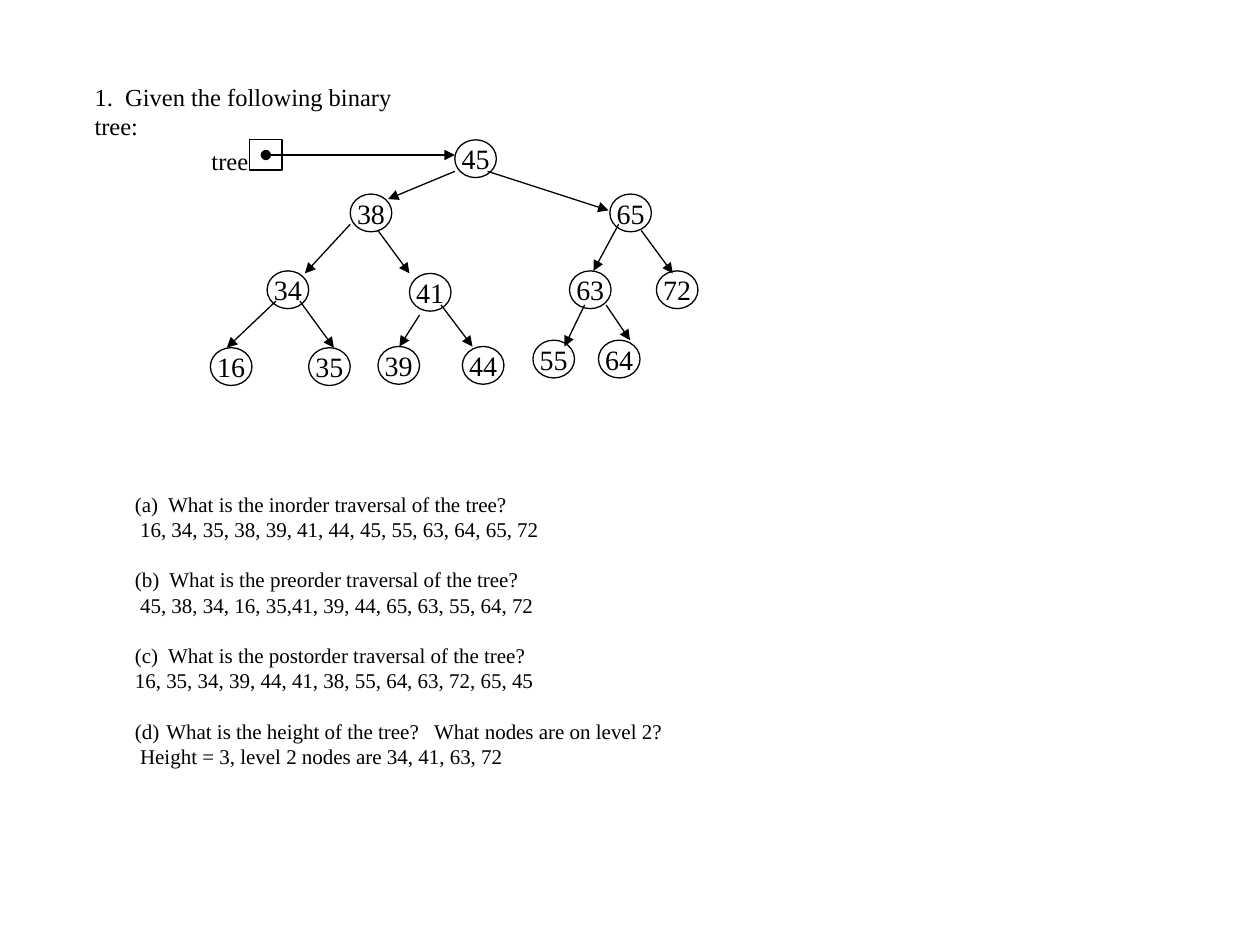
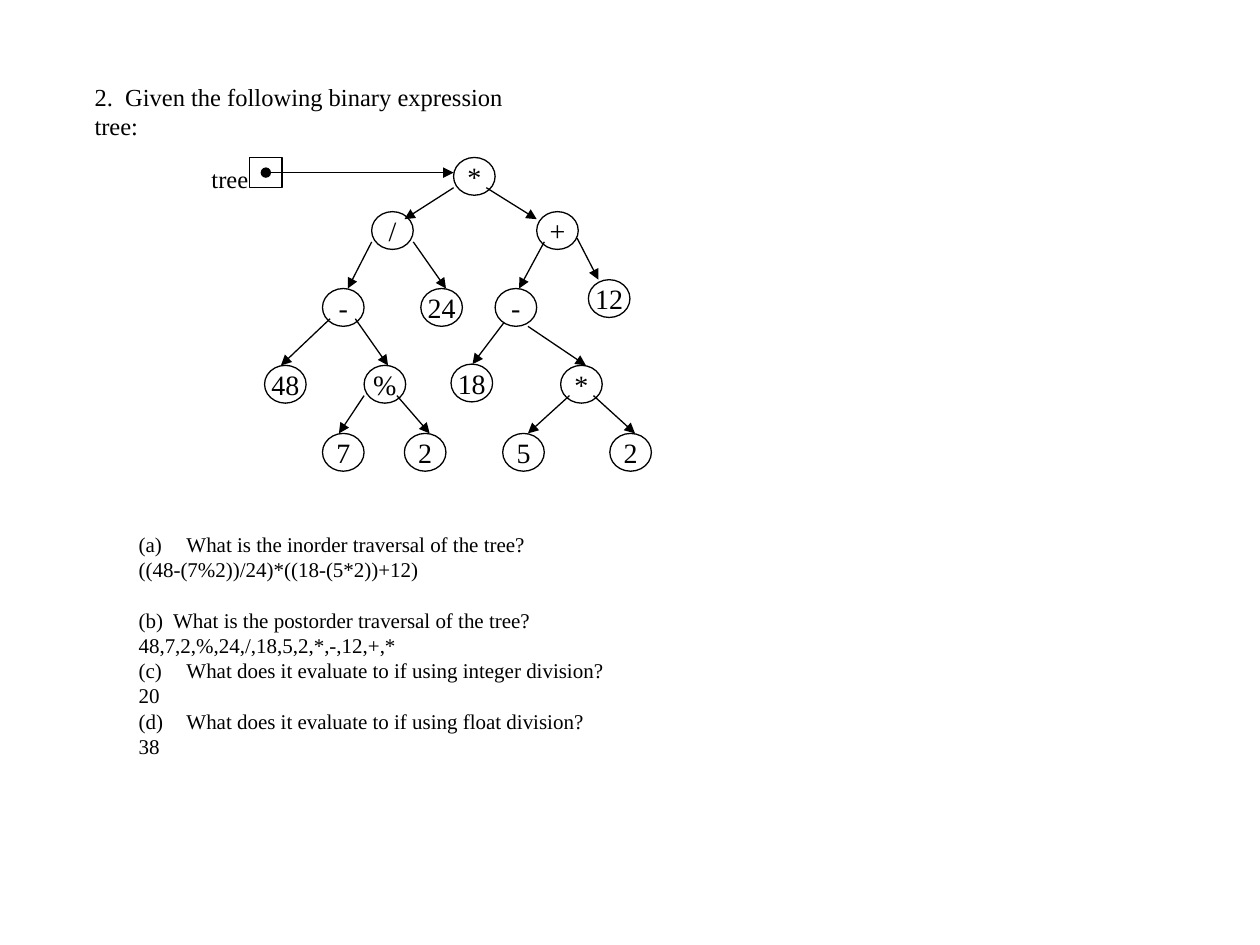
"""Build two slides of binary tree exercises with traversal answers."""
from pptx import Presentation
from pptx.dml.color import RGBColor
from pptx.enum.shapes import MSO_CONNECTOR, MSO_SHAPE
from pptx.enum.text import MSO_ANCHOR, MSO_AUTO_SIZE, PP_ALIGN
from pptx.oxml.ns import qn
from pptx.util import Inches, Pt

STRAIGHT = MSO_CONNECTOR.STRAIGHT
OVAL, RECTANGLE = MSO_SHAPE.OVAL, MSO_SHAPE.RECTANGLE
TOP, MIDDLE = MSO_ANCHOR.TOP, MSO_ANCHOR.MIDDLE
LEFT, CENTER = PP_ALIGN.LEFT, PP_ALIGN.CENTER
NO_AUTOFIT = MSO_AUTO_SIZE.NONE

FONT = "Times New Roman"
INK = "000000"
LINE_WIDTH = 0.75
LINE_HEIGHT = 1.2
TITLE_SIZE, BODY_SIZE, NODE_SIZE = 14, 12, 16
NODE_WIDTH, NODE_HEIGHT = 0.33, 0.3
POINTER_LEFT, POINTER_WIDTH, POINTER_HEIGHT = 1.98, 0.26, 0.24

# Nodes: label, left, top, then start and end of the arrow from the parent.
# Answers: text, then optional format of the paragraph.
EXERCISES = [
    {
        "title": "1.  Given the following binary tree:",
        "title_width": 2.95,
        "nodes": [
            ("45", 3.61, 1.11, None, None),
            ("38", 2.78, 1.54, (3.61, 1.36), (3.08, 1.58)),
            ("65", 4.84, 1.54, (3.87, 1.36), (4.83, 1.67)),
            ("34", 2.12, 2.15, (2.78, 1.78), (2.42, 2.17)),
            ("41", 3.25, 2.17, (3, 1.83), (3.25, 2.17)),
            ("63", 4.52, 2.15, (4.91, 1.78), (4.71, 2.15)),
            ("72", 5.21, 2.15, (5.09, 1.83), (5.34, 2.17)),
            ("16", 1.67, 2.76, (2.19, 2.39), (1.8, 2.76)),
            ("35", 2.45, 2.76, (2.38, 2.39), (2.65, 2.76)),
            ("39", 3, 2.75, (3.33, 2.5), (3.17, 2.75)),
            ("44", 3.67, 2.75, (3.5, 2.42), (3.75, 2.75)),
            ("55", 4.23, 2.7, (4.64, 2.42), (4.48, 2.75)),
            ("64", 4.75, 2.7, (4.81, 2.42), (5, 2.7)),
        ],
        "body_box": (0.97, 3.85, 4.45, 2.93),
        "answers": [
            ("(a)  What is the inorder traversal of the tree?", {}),
            (" 16, 34, 35, 38, 39, 41, 44, 45, 55, 63, 64, 65, 72", {}),
            ("(b)  What is the preorder traversal of the tree?", {"gap": True}),
            (" 45, 38, 34, 16, 35,41, 39, 44, 65, 63, 55, 64, 72", {}),
            ("(c)  What is the postorder traversal of the tree?", {"gap": True}),
            ("16, 35, 34, 39, 44, 41, 38, 55, 64, 63, 72, 65, 45", {}),
            ("What is the height of the tree?   What nodes are on level 2?",
             {"gap": True, "number": 4, "indent": 0.25}),
            (" Height = 3, level 2 nodes are 34, 41, 63, 72", {}),
        ],
    },
    {
        "title": "2.  Given the following binary expression tree:",
        "title_width": 3.8,
        "nodes": [
            ("*", 3.6, 1.25, None, None),
            ("/", 2.95, 1.68, (3.6, 1.49), (3.21, 1.74)),
            ("+", 4.26, 1.68, (3.86, 1.49), (4.26, 1.74)),
            ("-", 2.56, 2.29, (2.95, 1.92), (2.76, 2.29)),
            ("24", 3.34, 2.29, (3.28, 1.92), (3.54, 2.29)),
            ("-", 3.93, 2.29, (4.32, 1.92), (4.12, 2.29)),
            ("12", 4.67, 2.22, (4.58, 1.89), (4.75, 2.22)),
            ("48", 2.1, 2.9, (2.62, 2.53), (2.23, 2.9)),
            ("%", 2.89, 2.9, (2.82, 2.53), (3.08, 2.9)),
            ("18", 3.58, 2.89, (4, 2.56), (3.75, 2.89)),
            ("*", 4.45, 2.9, (4.19, 2.59), (4.65, 2.9)),
            ("7", 2.56, 3.44, (2.89, 3.14), (2.69, 3.44)),
            ("2", 3.21, 3.44, (3.15, 3.14), (3.41, 3.44)),
            ("5", 3.99, 3.44, (4.52, 3.14), (4.19, 3.44)),
            ("2", 4.84, 3.44, (4.71, 3.14), (5.04, 3.44)),
        ],
        "body_box": (1, 4.17, 3.94, 2.12),
        "answers": [
            ("What is the inorder traversal of the tree?",
             {"number": 1, "indent": 0.38}),
            ("((48-(7%2))/24)*((18-(5*2))+12)", {}),
            ("(b)  What is the postorder traversal of the tree?", {"gap": True}),
            ("48,7,2,%,24,/,18,5,2,*,-,12,+,*", {}),
            ("What does it evaluate to if using integer division?",
             {"number": 3, "indent": 0.38}),
            ("20", {}),
            ("What does it evaluate to if using float division?",
             {"number": 4, "indent": 0.38}),
            ("38", {}),
        ],
    },
]


def color(value):
    return RGBColor.from_string(value)


def place(shape, left, top, width, height):
    shape.left, shape.top = Inches(left), Inches(top)
    shape.width, shape.height = Inches(width), Inches(height)


def prepare_frame(shape, anchor=TOP, wrap=True):
    frame = shape.text_frame
    frame.word_wrap = wrap
    frame.auto_size = NO_AUTOFIT
    frame.vertical_anchor = anchor
    return frame


def write(paragraph, text, size=BODY_SIZE, align=LEFT, gap=False, number=None, indent=0):
    run = paragraph.add_run()
    run.text = text
    run.font.name, run.font.size = FONT, Pt(size)
    run.font.color.rgb = color(INK)
    paragraph.alignment = align
    paragraph.line_spacing = Pt(size * LINE_HEIGHT)
    paragraph.space_before = Pt(size * LINE_HEIGHT if gap else 0)
    properties = paragraph._p.get_or_add_pPr()
    properties.set("marL", str(Inches(indent)))
    properties.set("indent", str(-Inches(indent)))
    if number:
        bullet = properties.makeelement(
            qn("a:buAutoNum"), {"type": "alphaLcParenBoth", "startAt": str(number)})
    else:
        bullet = properties.makeelement(qn("a:buNone"), {})
    properties.append(bullet)


def set_line(shape):
    shape.line.color.rgb = color(INK)
    shape.line.width = Pt(LINE_WIDTH)


def add_outline(slide, kind, left, top, width, height):
    shape = slide.shapes.add_shape(
        kind, Inches(left), Inches(top), Inches(width), Inches(height))
    shape.shadow.inherit = False
    shape.fill.background()
    set_line(shape)
    return shape


def add_node(slide, label, left, top):
    node = add_outline(slide, OVAL, left, top, NODE_WIDTH, NODE_HEIGHT)
    frame = prepare_frame(node, anchor=MIDDLE, wrap=False)
    frame.margin_left = frame.margin_right = frame.margin_top = frame.margin_bottom = 0
    write(frame.paragraphs[0], label, size=NODE_SIZE, align=CENTER)


def add_arrow(slide, start, end, head=None):
    arrow = slide.shapes.add_connector(STRAIGHT, *map(Inches, start + end))
    set_line(arrow)
    line = arrow.line._get_or_add_ln()
    for tag, kind in (("a:headEnd", head), ("a:tailEnd", "triangle")):
        if kind:
            line.append(line.makeelement(qn(tag), {"type": kind}))
    properties = arrow._element.spPr
    properties.append(properties.makeelement(qn("a:effectLst"), {}))


def add_tree_pointer(slide, root_left, top):
    add_outline(slide, RECTANGLE, POINTER_LEFT, top, POINTER_WIDTH, POINTER_HEIGHT)
    label = slide.shapes.add_textbox(
        Inches(1.58), Inches(top), Inches(0.49), Inches(0.33))
    write(prepare_frame(label, wrap=False).paragraphs[0], "tree", size=TITLE_SIZE)
    middle = top + POINTER_HEIGHT / 2
    add_arrow(slide, (POINTER_LEFT + POINTER_WIDTH / 2, middle),
              (root_left, middle), head="oval")


def add_exercise(presentation, exercise):
    slide = presentation.slides.add_slide(presentation.slide_layouts[1])
    title, body = slide.placeholders
    place(title, 0.65, 0.6, exercise["title_width"], 0.33)
    write(prepare_frame(title).paragraphs[0], exercise["title"], size=TITLE_SIZE)

    place(body, *exercise["body_box"])
    frame = prepare_frame(body)
    for index, (text, options) in enumerate(exercise["answers"]):
        paragraph = frame.add_paragraph() if index else frame.paragraphs[0]
        write(paragraph, text, **options)

    for label, left, top, start, end in exercise["nodes"]:
        add_node(slide, label, left, top)
        if start:
            add_arrow(slide, start, end)
        else:
            add_tree_pointer(slide, left, top)


def main():
    presentation = Presentation()
    presentation.slide_width, presentation.slide_height = Inches(10), Inches(7.5)
    for exercise in EXERCISES:
        add_exercise(presentation, exercise)
    presentation.save("out.pptx")


if __name__ == "__main__":
    main()
